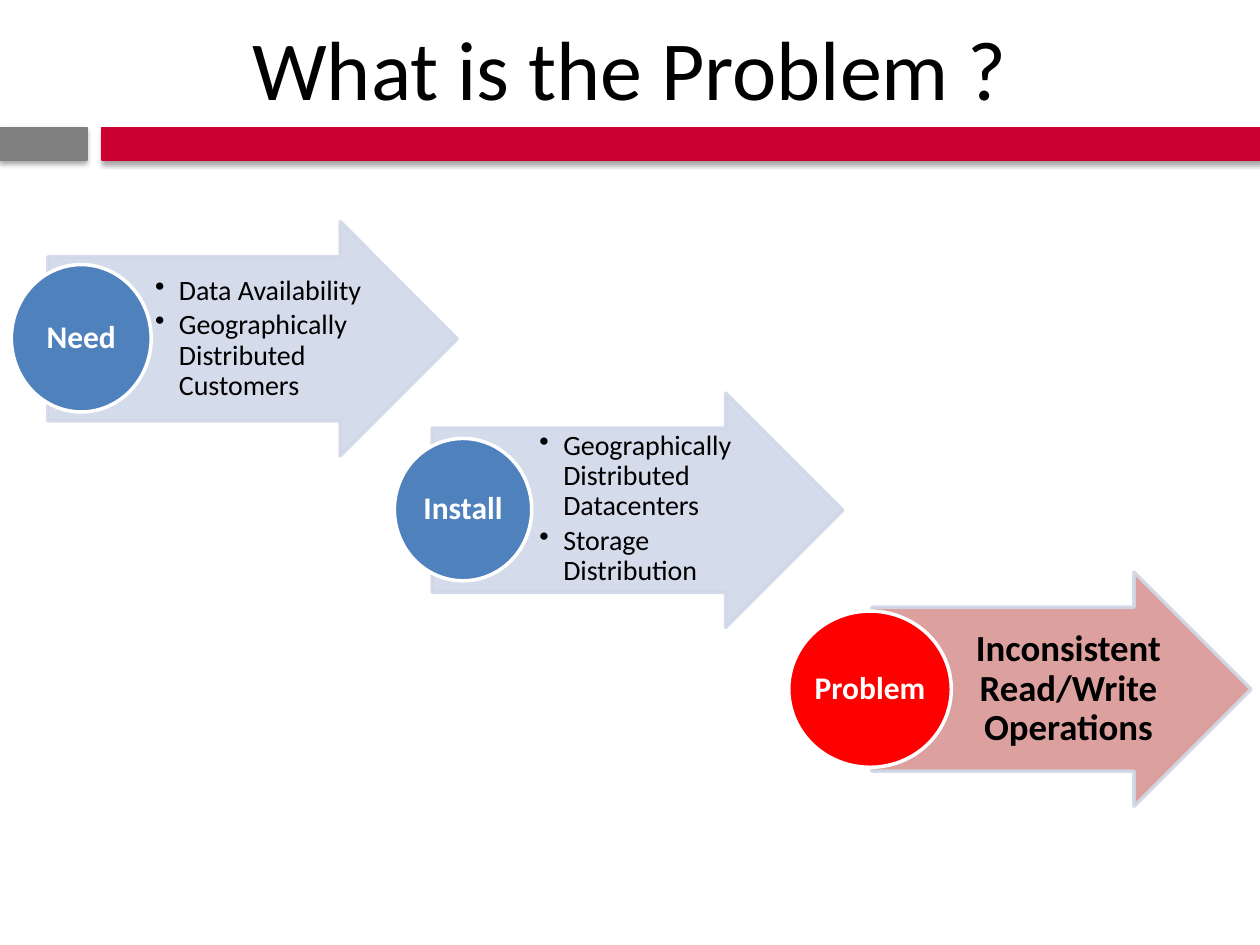
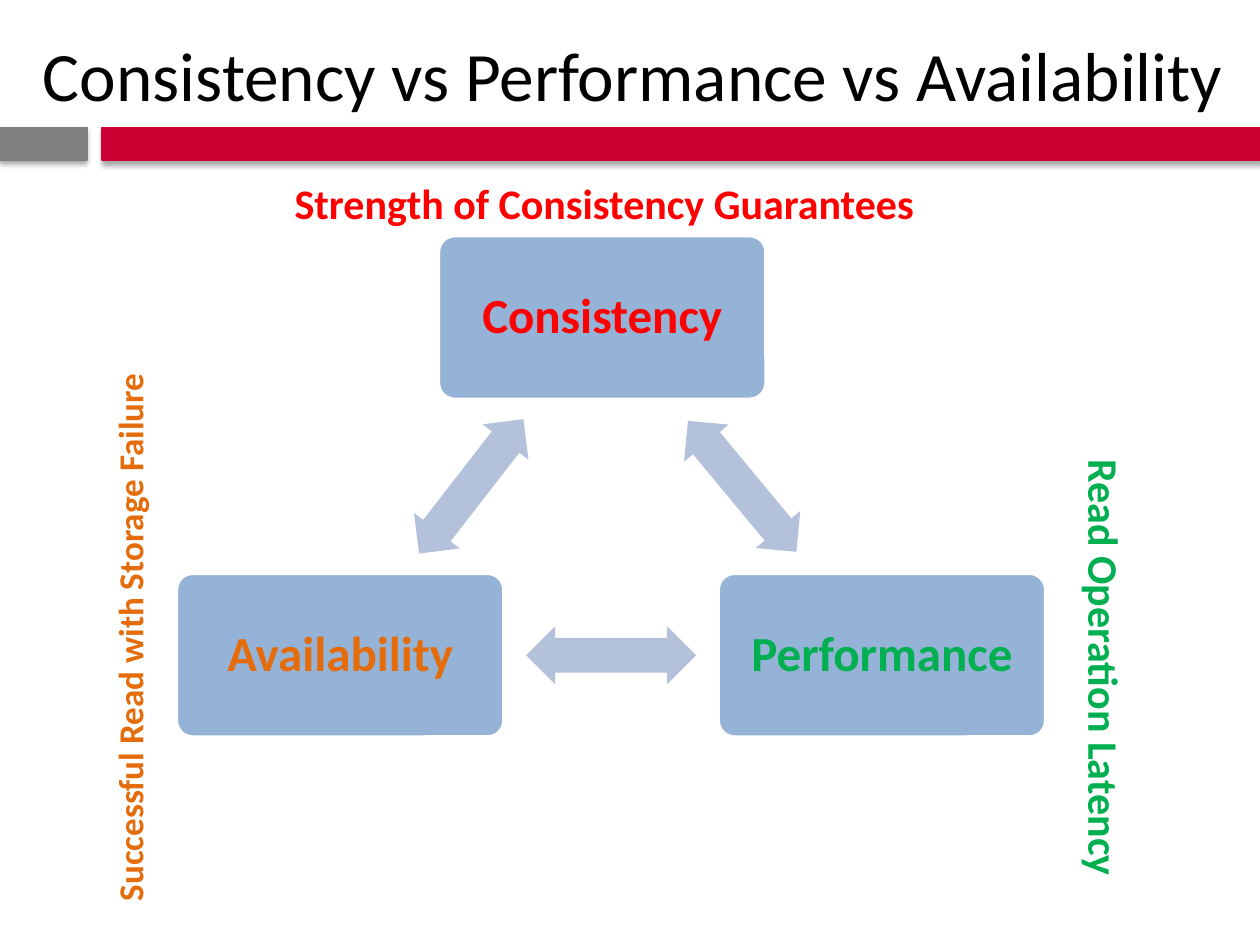
from dataclasses import dataclass
from itertools import cycle, islice
from math import atan2, degrees

from lxml.etree import SubElement
from pptx import Presentation
from pptx.dml.color import RGBColor
from pptx.enum.shapes import MSO_SHAPE
from pptx.enum.text import MSO_ANCHOR, PP_ALIGN
from pptx.oxml.ns import qn
from pptx.util import Inches, Pt

FONT = "Calibri"
BLACK, WHITE, GREY, CRIMSON = "000000", "FFFFFF", "808080", "CC0033"
RED, GREEN, ORANGE, ROSE = "FF0000", "00B050", "E46C0A", "D99694"
BLUE, PALE, SKY, STEEL = "4F81BD", "D0D8E8", "95B3D7", "B3C1DB"


@dataclass
class Box:
    x: float
    y: float
    w: float
    h: float

    def place(self) -> list:
        return [Inches(v) for v in (self.x, self.y, self.w, self.h)]


@dataclass
class Step:
    name: str
    lines: list
    arrow: Box
    disc: Box
    text: Box
    tint: str = PALE
    color: str = BLUE
    bullet: bool = True


@dataclass
class Goal:
    name: str
    color: str
    x: float  # centre
    y: float


@dataclass
class Label:
    text: str
    box: Box
    color: str
    size: float = 24
    turn: float = 0


STEPS = [
    Step("Need", ["Data Availability", "Geographically Distributed Customers"],
         Box(0.38, 1.76, 3.25, 1.86), Box(0.09, 2.1, 1.11, 1.17),
         Box(1.19, 2.04, 1.79, 1.3)),
    Step("Install", ["Geographically Distributed Datacenters", "Storage Distribution"],
         Box(3.43, 3.12, 3.26, 1.86), Box(3.13, 3.48, 1.09, 1.13),
         Box(4.24, 3.39, 1.79, 1.3)),
    Step("Problem", ["Inconsistent Read/Write Operations"],
         Box(6.92, 4.54, 3.01, 1.86), Box(6.26, 4.85, 1.29, 1.24),
         Box(7.67, 4.82, 1.6, 1.3), ROSE, RED, False),
]
GOALS = [
    Goal("Consistency", RED, 4.78, 2.52),
    Goal("Performance", GREEN, 7, 5.2),
    Goal("Availability", ORANGE, 2.7, 5.2),
]
LABELS = [
    Label("Strength of Consistency Guarantees", Box(2.24, 1.36, 5.17, 0.5), RED),
    Label("Read Operation Latency", Box(7, 5.07, 3.54, 0.5), GREEN, turn=90),
    Label("Successful Read with Storage Failure", Box(-1.18, 4.82, 4.42, 0.44),
          ORANGE, 20, 270),
]


def rgb(code: str) -> RGBColor:
    return RGBColor.from_string(code)


def write(shape, lines, size: float = 18, color: str = BLACK, bold: bool = False,
          align=PP_ALIGN.CENTER, anchor=MSO_ANCHOR.MIDDLE, wrap: bool = True,
          pads: tuple = (0.1, 0.05, 0.1, 0.05), space: float = 1,
          after: float = 0, bullet: bool = False) -> None:
    """Fill a shape with one paragraph per line."""
    frame = shape.text_frame
    frame.word_wrap, frame.vertical_anchor = wrap, anchor
    (frame.margin_left, frame.margin_top,
     frame.margin_right, frame.margin_bottom) = map(Inches, pads)
    frame.text = "\n".join(lines)
    for para in frame.paragraphs:
        para.alignment, para.line_spacing = align, space
        para.space_after = Pt(after)
        font = para.runs[0].font
        font.name, font.size, font.bold = FONT, Pt(size), bold
        font.color.rgb = rgb(color)
        if bullet:
            props = para._p.get_or_add_pPr()
            props.set("marL", str(Inches(0.19)))
            props.set("indent", str(-Inches(0.19)))
            SubElement(props, qn("a:buChar")).set("char", "•")


def draw(slide, kind, box: Box, fill: str, line: str = "", width: float = 2,
         adjust: tuple = (), turn: float = 0, alpha: int = 100):
    """Add a preset shape without the theme's shadow."""
    shape = slide.shapes.add_shape(kind, *box.place())
    shape.shadow.inherit = False
    shape.rotation = turn
    for i, value in enumerate(adjust):
        shape.adjustments[i] = value
    shape.fill.solid()
    shape.fill.fore_color.rgb = rgb(fill)
    if line:
        shape.line.color.rgb = rgb(line)
        shape.line.width = Pt(width)
    else:
        shape.line.fill.background()
    if alpha < 100:
        for tone in shape._element.spPr.iter(qn("a:srgbClr")):
            SubElement(tone, qn("a:alpha")).set("val", str(alpha * 1000))
    return shape


def band(slide, box: Box, color: str) -> None:
    shape = draw(slide, MSO_SHAPE.RECTANGLE, box, color, color, 0.75)
    effects = shape._element.spPr.find(qn("a:effectLst"))
    shade = SubElement(effects, qn("a:outerShdw"), blurRad=str(Pt(3.1)),
                       dist=str(Pt(1.8)), dir="5400000", rotWithShape="0")
    tone = SubElement(shade, qn("a:srgbClr"), val=BLACK)
    SubElement(tone, qn("a:alpha"), val="35000")


def note(slide, box: Box, lines: list, **style):
    shape = slide.shapes.add_textbox(*box.place())
    write(shape, lines, **style)
    return shape


def start(deck, title: str, box: Box, size: float):
    """Add a slide with its title and the two bands."""
    slide = deck.slides.add_slide(deck.slide_layouts[6])
    note(slide, box, [title], size=size)
    band(slide, Box(0.81, 1.01, 9.19, 0.26), CRIMSON)
    band(slide, Box(0, 1.01, 0.69, 0.26), GREY)
    return slide


def add_step(slide, step: Step) -> None:
    draw(slide, MSO_SHAPE.RIGHT_ARROW, step.arrow, step.tint, PALE,
         adjust=(0.7, 0.5), alpha=90)
    if step.bullet:
        style = dict(size=16, align=PP_ALIGN.LEFT, after=2.4, bullet=True)
    else:
        style = dict(size=21, bold=True)
    note(slide, step.text, step.lines, space=0.9,
         pads=(0.04, 0.01, 0.02, 0.01), **style)
    disc = draw(slide, MSO_SHAPE.OVAL, step.disc, step.color, WHITE)
    write(disc, [step.name], color=WHITE, bold=True, wrap=False,
          pads=(0.01,) * 4, space=0.9)


def add_goal(slide, goal: Goal) -> None:
    w, h = 2.6, 1.3
    card = draw(slide, MSO_SHAPE.ROUNDED_RECTANGLE,
                Box(goal.x - w / 2, goal.y - h / 2, w, h), SKY, WHITE, adjust=(0.1,))
    write(card, [goal.name], size=28, color=goal.color, bold=True, space=0.9)


def link(slide, a: Goal, b: Goal) -> None:
    """Put a double arrow halfway between two goals, along their line."""
    w, h = 1.35, 0.46
    box = Box((a.x + b.x - w) / 2, (a.y + b.y - h) / 2, w, h)
    draw(slide, MSO_SHAPE.LEFT_RIGHT_ARROW, box, STEEL, adjust=(0.6, 0.5),
         turn=degrees(atan2(b.y - a.y, b.x - a.x)) % 360)


def main() -> None:
    deck = Presentation()
    deck.slide_width, deck.slide_height = Inches(10), Inches(7.5)

    # Staircase of arrows
    slide = start(deck, "What is the Problem ?", Box(0.5, 0.18, 9, 0.71), 48)
    for step in STEPS:
        add_step(slide, step)

    # Triangle of goals
    slide = start(deck, "Consistency vs Performance vs Availability",
                  Box(0.16, 0.16, 9.73, 0.85), 39.6)
    for goal, after in zip(GOALS, islice(cycle(GOALS), 1, None)):
        add_goal(slide, goal)
        link(slide, goal, after)
    for label in LABELS:
        shape = note(slide, label.box, [label.text], size=label.size,
                     color=label.color, bold=True, align=PP_ALIGN.LEFT,
                     anchor=MSO_ANCHOR.TOP, wrap=False)
        shape.rotation = label.turn

    deck.save("out.pptx")


if __name__ == "__main__":
    main()
